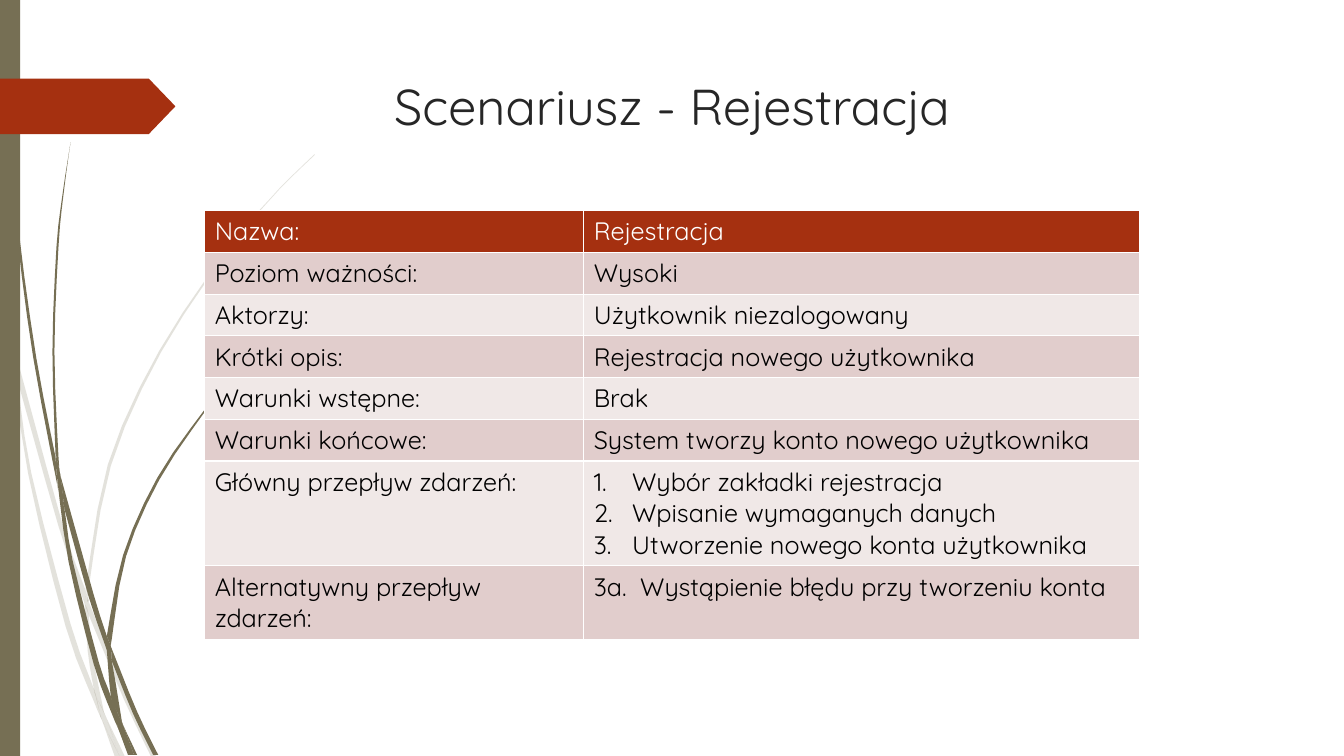
"""Build the slide with the registration scenario table."""
from lxml import etree
from pptx import Presentation
from pptx.dml.color import RGBColor
from pptx.enum.shapes import MSO_SHAPE
from pptx.enum.text import MSO_ANCHOR, PP_ALIGN
from pptx.oxml.ns import qn
from pptx.util import Inches, Pt

RECT, ARROW = MSO_SHAPE.RECTANGLE, MSO_SHAPE.PENTAGON
TOP, CENTER = MSO_ANCHOR.TOP, PP_ALIGN.CENTER
FONT = "Quicksand"
COLORS = {"olive": "766F54", "rust": "A53010", "title": "262626", "white": "FFFFFF",
          "black": "000000", "dark": "E1CDCC", "light": "F0E8E7"}
WIDTH, HEIGHT = 13.33, 7.5
STEPS, UNITS = 3, 1000

PALE = [
    ([(0, 2.82), (0.09, 3.22), (0.11, 3.5)], [(0.1, 3.44), (0, 2.99)]),
    ([(0.14, 3.45), (0.62, 5.2), (0.85, 5.86)], [(0.84, 5.99), (0.58, 5.22), (0.17, 3.76)]),
    ([(0.88, 5.96), (0.92, 6.07), (1.27, 6.92), (1.55, 7.51)],
     [(1.5, 7.51), (1.23, 6.94), (0.88, 6.1)]),
    ([(1.05, 7.11), (1.24, 7.51)], [(1.19, 7.51), (1.05, 7.11)]),
    ([(0.11, 3.5), (0.17, 3.76), (0.31, 4.69), (0.7, 6.19), (0.93, 6.83), (0.99, 7.07)],
     [(1.01, 7.14), (0.92, 6.93), (0.65, 6.21), (0.28, 4.7), (0.11, 3.5)]),
    ([(0.84, 5.99), (0.88, 6.1), (0.91, 6.46), (1.03, 7.06)],
     [(1.05, 7.11), (0.96, 6.92), (0.93, 6.83), (0.87, 6.46), (0.84, 5.99)]),
    ([(3.12, 1.53), (2.89, 1.75), (2.68, 1.97), (2.28, 2.44), (1.58, 3.48), (1.07, 4.61),
      (0.85, 5.84)],
     [(0.88, 5.96), (0.88, 5.84), (1.1, 4.62), (1.6, 3.49), (2.29, 2.45), (2.68, 1.98),
      (2.9, 1.75), (3.12, 1.54)]),
    ([(1.01, 7.14), (1.19, 7.51)], [(1.14, 7.51), (1.01, 7.14)]),
    ([(0.85, 5.86), (0.88, 5.96)], [(0.88, 6.1), (0.84, 5.99)]),
    ([(0.93, 6.83), (0.96, 6.92), (1.05, 7.11), (1.19, 7.51)],
     [(1.19, 7.51), (1.01, 7.14), (0.99, 7.07), (0.93, 6.83)]),
]
DEEP = [
    ([(0.04, 0), (0.05, 0.48), (0.08, 1.09), (0.19, 2.32), (0.36, 3.55), (0.55, 4.53)],
     [(0.57, 4.81), (0.56, 4.77), (0.33, 3.55), (0.17, 2.33), (0.07, 1.1), (0.04, 0.48),
      (0.03, 0)]),
    ([(0.6, 4.72), (0.93, 5.9), (1.06, 6.31)], [(1.06, 6.45), (0.88, 5.92), (0.64, 5.05)]),
    ([(1.1, 6.41), (1.13, 6.49), (1.36, 7.06), (1.57, 7.49)],
     [(1.52, 7.49), (1.32, 7.08), (1.11, 6.56)]),
    ([(0.57, 4.77), (0.64, 5.05), (0.72, 5.56), (0.98, 6.57), (1.1, 6.91), (1.16, 7.17)],
     [(1.17, 7.22), (1.11, 7.08), (0.93, 6.59), (0.68, 5.57), (0.57, 4.77)]),
    ([(0.7, 1.41), (0.63, 1.93), (0.58, 2.45), (0.54, 3.49), (0.58, 4.53), (0.6, 4.72)],
     [(0.55, 4.49), (0.52, 3.49), (0.56, 2.45), (0.62, 1.93), (0.7, 1.41)]),
    ([(1.22, 7.19), (1.36, 7.49)], [(1.33, 7.49), (1.22, 7.19)]),
    ([(0.55, 4.49), (0.6, 4.72), (0.64, 5.05)], [(0.64, 5.05), (0.57, 4.77), (0.55, 4.49)]),
    ([(2.6, 3.44), (2.45, 3.58), (2.31, 3.73), (2.04, 4.05), (1.56, 4.74), (1.22, 5.51),
      (1.06, 6.31)],
     [(1.1, 6.41), (1.11, 6.33), (1.25, 5.52), (1.58, 4.76), (2.05, 4.06), (2.31, 3.74),
      (2.45, 3.59), (2.61, 3.44)]),
    ([(1.17, 7.22), (1.31, 7.49)], [(1.27, 7.49), (1.17, 7.22)]),
    ([(1.06, 6.45), (1.11, 6.56), (1.21, 7.16)],
     [(1.22, 7.19), (1.16, 7.06), (1.1, 6.91), (1.06, 6.45)]),
    ([(1.06, 6.31), (1.1, 6.41)], [(1.11, 6.56), (1.06, 6.45)]),
    ([(1.1, 6.91), (1.16, 7.06), (1.22, 7.19), (1.33, 7.49)],
     [(1.3, 7.49), (1.17, 7.22), (1.1, 6.91)]),
]
ROWS = [
    ("Nazwa:", "Rejestracja"),
    ("Poziom ważności:", "Wysoki"),
    ("Aktorzy:", "Użytkownik niezalogowany"),
    ("Krótki opis:", "Rejestracja nowego użytkownika"),
    ("Warunki wstępne:", "Brak"),
    ("Warunki końcowe:", "System tworzy konto nowego użytkownika"),
    ("Główny przepływ zdarzeń:", "Wybór zakładki rejestracja\nWpisanie wymaganych danych\n"
     "Utworzenie nowego konta użytkownika"),
    ("Alternatywny przepływ zdarzeń:", "3a.\tWystąpienie błędu przy tworzeniu konta"),
]
HANG = {6: 0.38, 7: 0.46}


def curve(knots):
    """Return points on a smooth line through the knots."""
    ends = [knots[0], *knots, knots[-1]]
    points = []
    for a, b, c, d in zip(ends, ends[1:], ends[2:], ends[3:]):
        for step in range(STEPS):
            t = step / STEPS
            points.append([UNITS * (2 * q + (r - p) * t + (2 * p - 5 * q + 4 * r - s) * t ** 2
                                    + (3 * q - p - 3 * r + s) * t ** 3) / 2
                           for p, q, r, s in zip(a, b, c, d)])
    return points + [[UNITS * v for v in knots[-1]]]


def paint(shape, color):
    """Give the shape a plain fill with no line or shadow."""
    shape.shadow.inherit = False
    shape.fill.solid()
    shape.fill.fore_color.rgb = RGBColor.from_string(COLORS[color])
    shape.line.fill.background()


deck = Presentation()
deck.slide_width, deck.slide_height = Inches(WIDTH), Inches(HEIGHT)
slide = deck.slides.add_slide(deck.slide_layouts[5])
shapes = slide.shapes

for blades, alpha in ((PALE, 20000), (DEEP, 100000)):
    for out, back in blades:
        edge = curve(out) + curve(back)
        pen = shapes.build_freeform(*edge[0], scale=Inches(1) / UNITS)
        pen.add_line_segments(edge[1:], close=True)
        blade = pen.convert_to_shape()
        paint(blade, "olive")
        tint = blade.fill._xPr.find(".//" + qn("a:srgbClr"))
        etree.SubElement(tint, qn("a:alpha"), val=str(alpha))

bar = shapes.add_shape(RECT, 0, 0, Inches(0.2), Inches(HEIGHT))
paint(bar, "olive")
flag = shapes.add_shape(ARROW, 0, Inches(0.78), Inches(1.74), Inches(0.55))
flag.adjustments[0] = 0.48
paint(flag, "rust")

title = shapes.title
title.left, title.top = 0, Inches(0.69)
title.width, title.height = Inches(WIDTH), Inches(1.4)
frame = title.text_frame
frame.text = "Scenariusz - Rejestracja"
frame.vertical_anchor = TOP
frame.paragraphs[0].alignment = CENTER
font = frame.paragraphs[0].runs[0].font
font.name, font.size = FONT, Pt(36)
font.color.rgb = RGBColor.from_string(COLORS["title"])

table = shapes.add_table(len(ROWS), 2, Inches(2.03), Inches(2.09),
                         Inches(9.27), Inches(0.41 * len(ROWS))).table
for col, size in zip(table.columns, (3.76, 5.51)):
    col.width = Inches(size)
for r, row in enumerate(ROWS):
    fill = "rust" if r == 0 else "dark" if r % 2 else "light"
    for c, text in enumerate(row):
        cell = table.cell(r, c)
        cell.fill.solid()
        cell.fill.fore_color.rgb = RGBColor.from_string(COLORS[fill])
        cell.text_frame.text = text
        for para in cell.text_frame.paragraphs:
            font = para.runs[0].font
            font.name, font.size, font.bold = FONT, Pt(18), False
            font.color.rgb = RGBColor.from_string(COLORS["black" if r else "white"])
            if c and r in HANG:
                props = para._p.get_or_add_pPr()
                props.set("marL", str(Inches(HANG[r])))
                props.set("indent", str(-Inches(HANG[r])))
                if r == 6:
                    etree.SubElement(props, qn("a:buFont"), typeface="+mj-lt")
                    etree.SubElement(props, qn("a:buAutoNum"), type="arabicPeriod")

deck.save("out.pptx")
